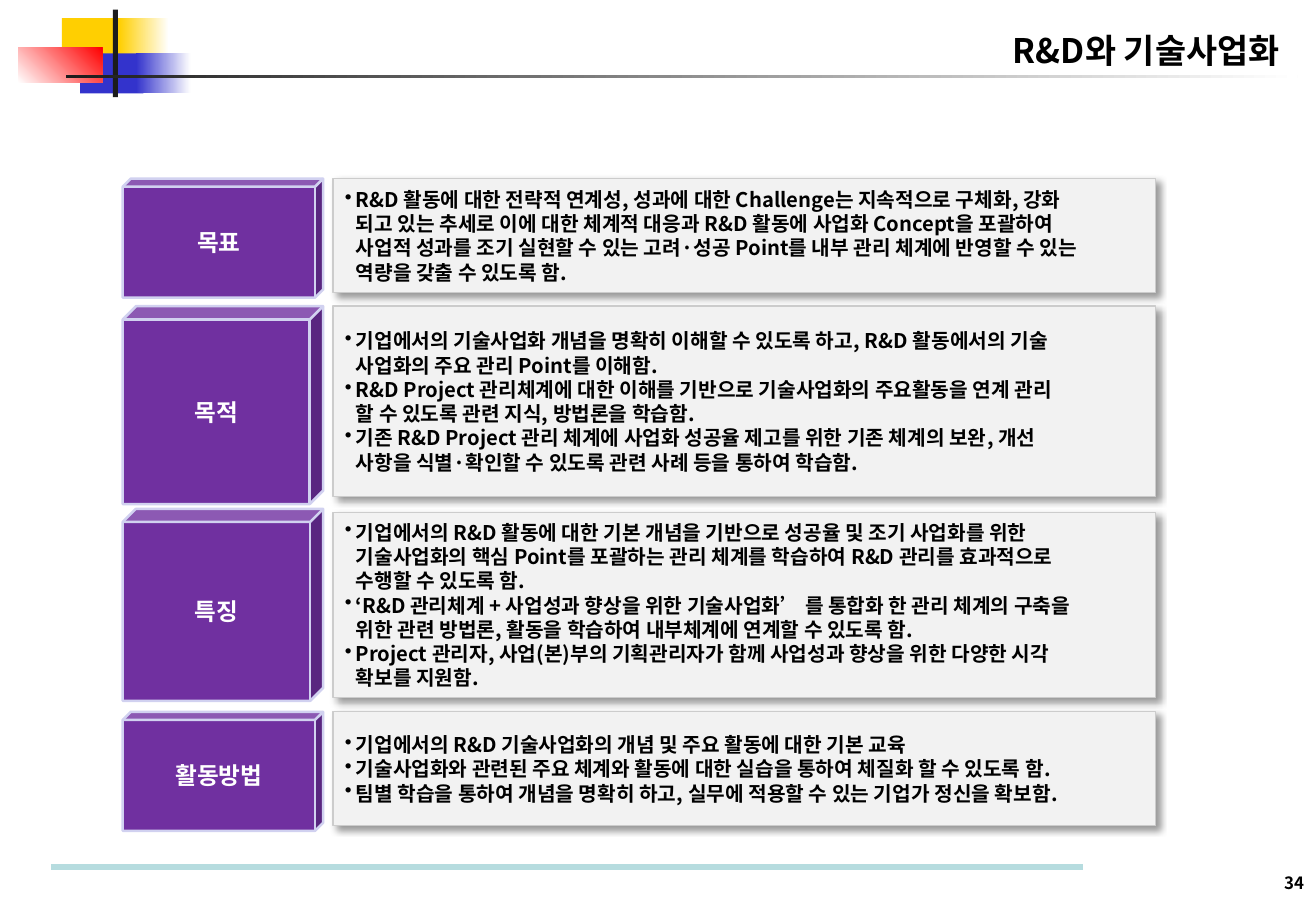
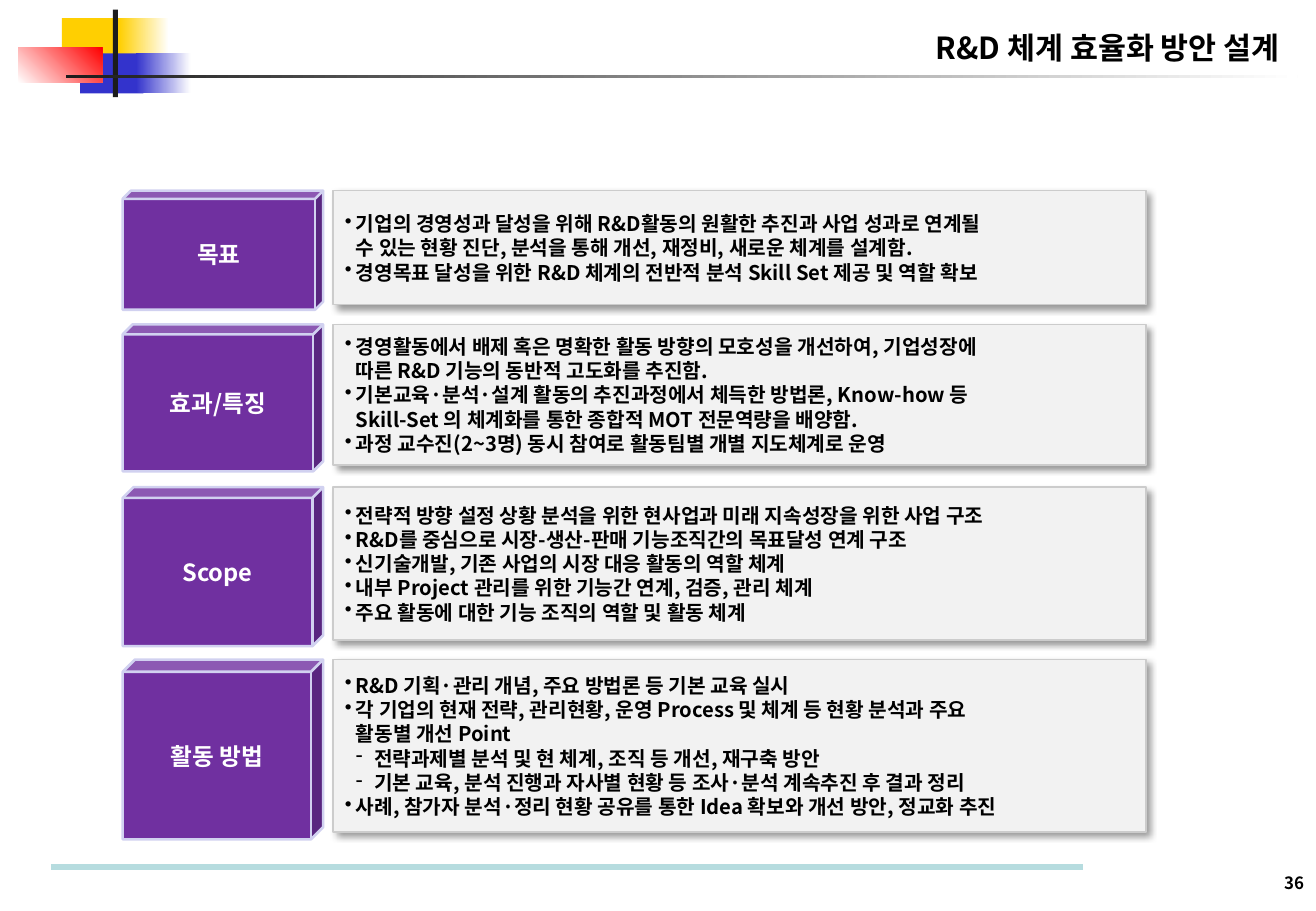
from lxml import etree
from pptx import Presentation
from pptx import util as u
from pptx.dml.color import RGBColor
from pptx.enum import shapes, text
from pptx.oxml.ns import qn

PX = 9144
FONT = "Noto Sans CJK KR"
COLORS = {
    "yellow": "FFCF01", "blue": "3333CC", "red": "FF0000", "white": "FFFFFF",
    "ink": "1C1C1C", "footer": "B6DCDF", "text": "000000", "label": "7030A0",
    "label_edge": "D1D1F0", "panel": "F2F2F2", "panel_edge": "CCCCCC",
}

BANNER = [
    ((51, 15, 54, 33), ("yellow",), 0),
    ((98, 15, 41, 33), ("yellow", "white"), 0),
    ((66, 44, 52, 33), ("blue",), 0),
    ((112, 44, 45, 33), ("blue", "white"), 0),
    ((15, 39, 69, 29), ("white", "red"), 45),
    ((93, 8, 4, 72), ("ink",), 0),
    ((54, 62, 1014, 2), ("ink", "white"), 0),
]

BULLETS = {"•": (9, 9), "-": (24, 15)}

SLIDES = [
    {
        "title": "R&D와 기술사업화", "title_size": 20, "title_height": 44,
        "page": "34", "panel_width": 677,
        "sections": [
            ("목표", 147, 147, 94, [
                "R&D 활동에 대한 전략적 연계성, 성과에 대한 Challenge는 지속적으로 구체화, 강화\n"
                "되고 있는 추세로 이에 대한 체계적 대응과 R&D 활동에 사업화 Concept을 포괄하여\n"
                "사업적 성과를 조기 실현할 수 있는 고려·성공 Point를 내부 관리 체계에 반영할 수 있는\n"
                "역량을 갖출 수 있도록 함.",
            ]),
            ("목적", 252, 252, 157, [
                "기업에서의 기술사업화 개념을 명확히 이해할 수 있도록 하고, R&D 활동에서의 기술\n"
                "사업화의 주요 관리 Point를 이해함.",
                "R&D Project 관리체계에 대한 이해를 기반으로 기술사업화의 주요활동을 연계 관리\n"
                "할 수 있도록 관련 지식, 방법론을 학습함.",
                "기존 R&D Project 관리 체계에 사업화 성공율 제고를 위한 기존 체계의 보완, 개선\n"
                "사항을 식별·확인할 수 있도록 관련 사례 등을 통하여 학습함.",
            ]),
            ("특징", 419, 422, 152, [
                "기업에서의 R&D 활동에 대한 기본 개념을 기반으로 성공율 및 조기 사업화를 위한\n"
                "기술사업화의 핵심 Point를 포괄하는 관리 체계를 학습하여 R&D 관리를 효과적으로\n"
                "수행할 수 있도록 함.",
                "‘R&D 관리체계 + 사업성과 향상을 위한 기술사업화’ 를 통합화 한 관리 체계의 구축을\n"
                "위한 관련 방법론, 활동을 학습하여 내부체계에 연계할 수 있도록 함.",
                "Project 관리자, 사업(본)부의 기획관리자가 함께 사업성과 향상을 위한 다양한 시각\n"
                "확보를 지원함.",
            ]),
            ("활동방법", 586, 586, 94, [
                "기업에서의 R&D 기술사업화의 개념 및 주요 활동에 대한 기본 교육",
                "기술사업화와 관련된 주요 체계와 활동에 대한 실습을 통하여 체질화 할 수 있도록 함.",
                "팀별 학습을 통하여 개념을 명확히 하고, 실무에 적용할 수 있는 기업가 정신을 확보함.",
            ]),
        ],
    },
    {
        "title": "R&D 체계 효율화 방안 설계", "title_size": 18, "title_height": 40,
        "page": "36", "panel_width": 669,
        "sections": [
            ("목표", 157, 157, 94, [
                "기업의 경영성과 달성을 위해 R&D활동의 원활한 추진과 사업 성과로 연계될\n"
                "수 있는 현황 진단, 분석을 통해 개선, 재정비, 새로운 체계를 설계함.",
                "경영목표 달성을 위한 R&D 체계의 전반적 분석 Skill Set 제공 및 역할 확보",
            ]),
            ("효과/특징", 267, 267, 116, [
                "경영활동에서 배제 혹은 명확한 활동 방향의 모호성을 개선하여, 기업성장에\n"
                "따른 R&D 기능의 동반적 고도화를 추진함.",
                "기본교육·분석·설계 활동의 추진과정에서 체득한 방법론, Know-how 등\n"
                "Skill-Set 의 체계화를 통한 종합적 MOT 전문역량을 배양함.",
                "과정 교수진(2~3명) 동시 참여로 활동팀별 개별 지도체계로 운영",
            ]),
            ("Scope", 401, 401, 126, [
                "전략적 방향 설정 상황 분석을 위한 현사업과 미래 지속성장을 위한 사업 구조",
                "R&D를 중심으로 시장-생산-판매 기능조직간의 목표달성 연계 구조",
                "신기술개발, 기존 사업의 시장 대응 활동의 역할 체계",
                "내부 Project 관리를 위한 기능간 연계, 검증, 관리 체계",
                "주요 활동에 대한 기능 조직의 역할 및 활동 체계",
            ]),
            ("활동 방법", 543, 543, 142, [
                "R&D 기획·관리 개념, 주요 방법론 등 기본 교육 실시",
                "각 기업의 현재 전략, 관리현황, 운영 Process 및 체계 등 현황 분석과 주요\n"
                "활동별 개선 Point",
                "- 전략과제별 분석 및 현 체계, 조직 등 개선, 재구축 방안",
                "- 기본 교육, 분석 진행과 자사별 현황 등 조사·분석 계속추진 후 결과 정리",
                "사례, 참가자 분석·정리 현황 공유를 통한 Idea 확보와 개선 방안, 정교화 추진",
            ]),
        ],
    },
]


def rgb(name):
    return RGBColor.from_string(COLORS[name])


def emu(*lengths):
    return [length * PX for length in lengths]


def add_block(slide, kind, box, fills, edge=None, edge_width=0, angle=0):
    block = slide.shapes.add_shape(kind, *emu(*box))
    block.shadow.inherit = False
    if len(fills) == 1:
        block.fill.solid()
        block.fill.fore_color.rgb = rgb(fills[0])
    else:
        block.fill.gradient()
        block.fill.gradient_angle = angle
        for stop, color in zip(block.fill.gradient_stops, fills):
            stop.color.rgb = rgb(color)
    if edge:
        block.line.color.rgb = rgb(edge)
        block.line.width = u.Pt(edge_width)
    else:
        block.line.fill.background()
    return block


def cast_shadow(panel):
    effects = panel.element.spPr.find(qn("a:effectLst"))
    shadow = etree.SubElement(
        effects, qn("a:outerShdw"), blurRad=str(u.Pt(4)), dist=str(u.Pt(3)),
        dir=str(45 * 60000), algn="tl", rotWithShape="0")
    color = etree.SubElement(shadow, qn("a:srgbClr"), val="000000")
    etree.SubElement(color, qn("a:alpha"), val="40000")


def add_bullet(paragraph, bullet):
    margin, hanging = emu(*BULLETS[bullet])
    props = paragraph._p.get_or_add_pPr()
    props.set("marL", str(margin))
    props.set("indent", str(-hanging))
    etree.SubElement(props, qn("a:buChar"), char=bullet)


def write(holder, lines, size, align, color="text", bulleted=False):
    frame = holder.text_frame
    frame.word_wrap = True
    frame.auto_size = text.MSO_AUTO_SIZE.NONE
    frame.vertical_anchor = text.MSO_ANCHOR.MIDDLE
    for index, line in enumerate(lines):
        paragraph = frame.add_paragraph() if index else frame.paragraphs[0]
        dashed = line.startswith("- ")
        paragraph.text = line[2:] if dashed else line
        paragraph.alignment = align
        paragraph.line_spacing = u.Pt(size * 1.2)
        if bulleted:
            add_bullet(paragraph, "-" if dashed else "•")
        font = paragraph.font
        font.size, font.bold, font.name = u.Pt(size), True, FONT
        font.color.rgb = rgb(color)
        defaults = paragraph._p.pPr.find(qn("a:defRPr"))
        etree.SubElement(defaults, qn("a:ea"), typeface=FONT)


def decorate(layout, slide):
    parts = [add_block(slide, shapes.MSO_SHAPE.RECTANGLE, box, fills, angle=angle)
             for box, fills, angle in BANNER]
    footer = slide.shapes.add_connector(
        shapes.MSO_CONNECTOR.STRAIGHT, *emu(42, 714, 891, 714))
    footer.line.color.rgb = rgb("footer")
    footer.line.width = u.Pt(3.5)
    etree.SubElement(footer.element.spPr, qn("a:effectLst"))
    for index, part in enumerate(parts + [footer]):
        part.element.xpath(".//p:cNvPr")[0].set("id", str(100 + index))
        layout.shapes.element.insert(2 + index, part.element)


def add_section(slide, section, panel_width):
    name, label_top, panel_top, height, points = section
    label = add_block(slide, shapes.MSO_SHAPE.CUBE,
                      (101, label_top, 165, round(height * 1.04)),
                      ["label"], "label_edge", 1.5)
    label.adjustments[0] = 0.068
    write(label, [name], 14, text.PP_ALIGN.CENTER, "white")
    panel = add_block(slide, shapes.MSO_SHAPE.RECTANGLE,
                      (274, panel_top, panel_width, height),
                      ["panel"], "panel_edge", 0.75)
    cast_shadow(panel)
    write(panel, points, 12, text.PP_ALIGN.LEFT, bulleted=True)


def main():
    deck = Presentation()
    deck.slide_width, deck.slide_height = emu(1083, 750)
    layout = deck.slide_layouts[5]
    for number, content in enumerate(SLIDES):
        slide = deck.slides.add_slide(layout)
        if number == 0:
            decorate(layout, slide)
        title = slide.shapes.title
        title.left, title.top, title.width, title.height = emu(
            700, 19, 363, content["title_height"])
        write(title, [content["title"]], content["title_size"], text.PP_ALIGN.RIGHT)
        page = slide.shapes.add_textbox(*emu(1025, 713, 58, 27))
        write(page, [content["page"]], 10, text.PP_ALIGN.RIGHT)
        for section in content["sections"]:
            add_section(slide, section, content["panel_width"])
    deck.save("out.pptx")


if __name__ == "__main__":
    main()
